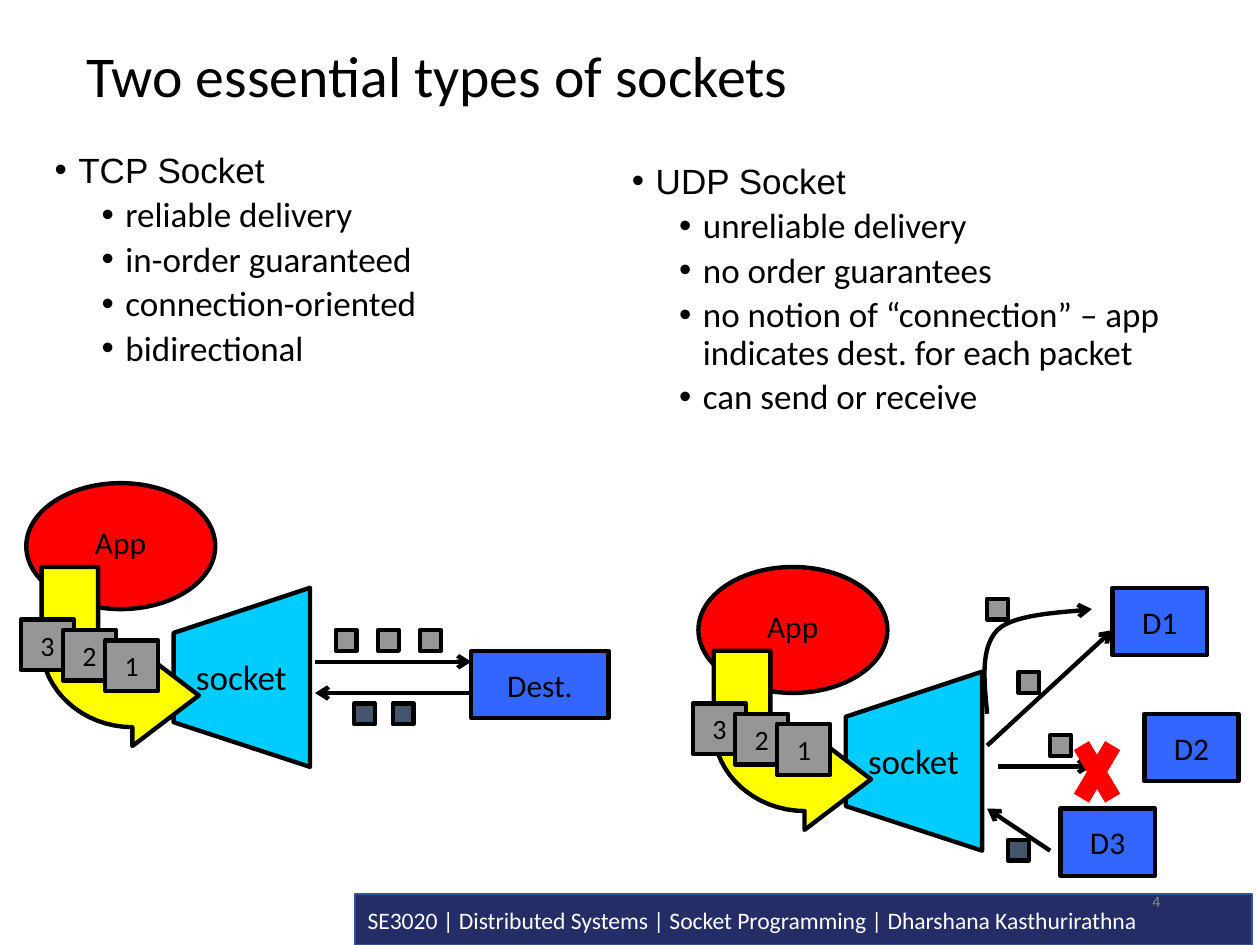
import pptx
import pptx.dml.color
import pptx.enum.shapes
import pptx.enum.text
import pptx.oxml
import pptx.oxml.ns
import pptx.util

Cm = pptx.util.Cm
RGBColor = pptx.dml.color.RGBColor
MSO_SHAPE = pptx.enum.shapes.MSO_SHAPE
PP_ALIGN = pptx.enum.text.PP_ALIGN
MSO_ANCHOR = pptx.enum.text.MSO_ANCHOR
qn = pptx.oxml.ns.qn

BLACK = RGBColor(0x00, 0x00, 0x00)
WHITE = RGBColor(0xFF, 0xFF, 0xFF)
RED = RGBColor(0xFF, 0x00, 0x00)
YELLOW = RGBColor(0xFF, 0xFF, 0x00)
CYAN = RGBColor(0x00, 0xCC, 0xFF)
BLUE = RGBColor(0x33, 0x66, 0xFF)
GREY = RGBColor(0x96, 0x96, 0x96)
SLATE = RGBColor(0x44, 0x54, 0x6A)
NAVY = RGBColor(0x25, 0x2D, 0x67)
NAVY_EDGE = RGBColor(0x32, 0x54, 0x91)
PALE_GREY = RGBColor(0x8C, 0x8C, 0x8C)


def write(frame, text, size=18, font="Calibri", colour=BLACK, align=PP_ALIGN.CENTER,
          anchor=MSO_ANCHOR.MIDDLE, spacing=None, before=0, indent=None):
    frame.word_wrap = True
    frame.vertical_anchor = anchor
    paragraph = frame.add_paragraph() if frame.text else frame.paragraphs[0]
    paragraph.text = text
    paragraph.alignment = align
    paragraph.line_spacing = spacing
    paragraph.space_before = pptx.util.Pt(before)
    if indent:
        properties = paragraph._p.get_or_add_pPr()
        properties.set("marL", str(Cm(indent)))
        properties.set("indent", str(Cm(-0.48)))
        pptx.oxml.ns.qn("a:buFont")
        bullet_font = properties.makeelement(qn("a:buFont"), {"typeface": "Arial"})
        bullet = properties.makeelement(qn("a:buChar"), {"char": "•"})
        properties.extend([bullet_font, bullet])
    run_font = paragraph.runs[0].font
    run_font.size = pptx.util.Pt(size)
    run_font.name = font
    run_font.color.rgb = colour


def add_box(shapes, kind, left, top, width, height, fill, line=BLACK, weight=2.5):
    shape = shapes.add_shape(kind, Cm(left), Cm(top), Cm(width), Cm(height))
    shape.shadow.inherit = False
    shape.fill.solid()
    shape.fill.fore_color.rgb = fill
    shape.line.color.rgb = line
    shape.line.width = pptx.util.Pt(weight)
    return shape


presentation = pptx.Presentation()
presentation.slide_width = Cm(25.4)
presentation.slide_height = Cm(19.05)
slide = presentation.slides.add_slide(presentation.slide_layouts[5])

footer = add_box(slide.shapes, MSO_SHAPE.RECTANGLE, 7.16, 18.03, 18.08, 1.02,
                 NAVY, line=NAVY_EDGE, weight=1)
write(footer.text_frame,
      "SE3020 | Distributed Systems | Socket Programming | Dharshana Kasthurirathna",
      size=13.5, colour=WHITE, align=PP_ALIGN.LEFT)

title = slide.shapes.title
title.left, title.top, title.width, title.height = Cm(1.48), Cm(0), Cm(21.59), Cm(3.17)
write(title.text_frame, "Two essential types of sockets", size=33,
      align=PP_ALIGN.LEFT, spacing=0.9)

columns = [
    (0.85, 2.96, 10.58, "TCP Socket",
     ["reliable delivery", "in-order guaranteed", "connection-oriented", "bidirectional"]),
    (12.49, 3.18, 12.07, "UDP Socket",
     ["unreliable delivery", "no order guarantees",
      "no notion of “connection” – app indicates dest. for each packet",
      "can send or receive"]),
]
for left, top, width, heading, points in columns:
    column = slide.shapes.add_textbox(Cm(left), Cm(top), Cm(width), Cm(12.9))
    layout = dict(size=20, align=PP_ALIGN.LEFT, anchor=MSO_ANCHOR.TOP, spacing=0.9)
    write(column.text_frame, heading, font="Arial", indent=0.48, **layout)
    for point in points:
        write(column.text_frame, point, before=3.8, indent=1.43, **layout)

number = slide.shapes.add_textbox(Cm(17.93), Cm(17.65), Cm(5.71), Cm(1.02))
write(number.text_frame, "4", size=9, colour=PALE_GREY, align=PP_ALIGN.RIGHT)

tcp = slide.shapes.add_group_shape().shapes
udp = slide.shapes.add_group_shape().shapes
diagrams = [(tcp, 0, 0), (udp, 13.55, 1.69)]

for shapes, across, down in diagrams:
    add_box(shapes, MSO_SHAPE.OVAL, 0.53 + across, 9.74 + down, 3.81, 2.54, RED)

socket_outline = [(6.25, 11.85), (3.5, 12.76), (3.5, 14.56), (6.25, 15.46)]
arrow_outline = [(4.01, 14.02), (2.67, 15.04), (2.67, 14.66),
                 (1.68, 14.66, 0.84, 13.92, 0.84, 13), (0.84, 11.43), (1.98, 11.43),
                 (1.98, 13), (1.98, 13.21, 2.29, 13.39, 2.67, 13.39), (2.67, 13)]
route = [(19.9, 14.39), (19.84, 13.72, 19.76, 13.06, 20.11, 12.7),
         (20.47, 12.34, 21.69, 12.34, 22.01, 12.28)]
outlines = [(shapes, outline, fill, across, down)
            for shapes, across, down in diagrams
            for outline, fill in [(socket_outline, CYAN), (arrow_outline, YELLOW)]]
outlines.append((udp, route, None, 0, 0))

lines = []
for shapes, outline, fill, across, down in outlines:
    vertices = [outline[0]]
    for step in outline[1:]:
        if len(step) == 2:
            vertices.append(step)
            continue
        controls = [vertices[-1], step[0:2], step[2:4], step[4:6]]
        for part in range(1, 17):
            t = part / 16
            weights = [(1 - t) ** 3, 3 * t * (1 - t) ** 2, 3 * t ** 2 * (1 - t), t ** 3]
            vertices.append(tuple(sum(w * control[axis] for w, control in zip(weights, controls))
                                  for axis in (0, 1)))
    vertices = [(Cm(x + across), Cm(y + down)) for x, y in vertices]
    builder = shapes.build_freeform(*vertices[0])
    builder.add_line_segments(vertices[1:], close=fill is not None)
    shape = builder.convert_to_shape()
    shape.shadow.inherit = False
    if fill is None:
        shape.fill.background()
    else:
        shape.fill.solid()
        shape.fill.fore_color.rgb = fill
    lines.append((shape, BLACK, 2.5, fill is None))

for shapes, across, down in diagrams:
    for text, left, top, width, height, size in [("App", 0.42, 10.3, 4.02, 1.27, 18),
                                                 ("socket", 2.54, 13.1, 4.65, 1.08, 20)]:
        label = shapes.add_textbox(Cm(left + across), Cm(top + down), Cm(width), Cm(height))
        write(label.text_frame, text, size=size)
    for index, text in enumerate("321"):
        packet = add_box(shapes, MSO_SHAPE.RECTANGLE, 0.42 + 0.85 * index + across,
                         12.49 + 0.21 * index + down, 1.07, 1.02, GREY)
        write(packet.text_frame, text, size=16)

small_packets = [
    (tcp, GREY, [(6.77, 12.7), (7.62, 12.7), (8.47, 12.7)]),
    (tcp, SLATE, [(7.14, 14.18), (7.92, 14.18)]),
    (udp, GREY, [(19.9, 12.07), (20.53, 13.55), (21.17, 14.82)]),
    (udp, SLATE, [(20.32, 16.93)]),
]
for shapes, fill, places in small_packets:
    for left, top in places:
        add_box(shapes, MSO_SHAPE.RECTANGLE, left, top, 0.42, 0.42, fill)

destinations = [(tcp, "Dest.", 9.5, 13.12, 2.77), (udp, "D1", 22.43, 11.85, 1.9),
                (udp, "D2", 23.07, 14.39, 1.9), (udp, "D3", 21.38, 16.3, 1.9)]
for shapes, text, left, top, width in destinations:
    destination = add_box(shapes, MSO_SHAPE.RECTANGLE, left, top, width, 1.36, BLUE)
    write(destination.text_frame, text)

straight_lines = [
    (tcp, (6.35, 13.34, 9.5, 13.34), BLACK, 2.5),
    (tcp, (9.5, 13.97, 6.35, 13.97), BLACK, 2.5),
    (udp, (19.9, 15.03, 22.43, 12.7), BLACK, 2.5),
    (udp, (20.11, 15.45, 22.01, 15.45), BLACK, 2.5),
    (udp, (21.17, 17.15, 19.9, 16.3), BLACK, 2.5),
    (udp, (21.8, 15.03, 22.43, 16.09), RED, 10),
    (udp, (22.43, 15.03, 21.8, 16.09), RED, 10),
]
for shapes, ends, colour, weight in straight_lines:
    connector = shapes.add_connector(pptx.enum.shapes.MSO_CONNECTOR.STRAIGHT,
                                     *[Cm(end) for end in ends])
    lines.append((connector, colour, weight, colour == BLACK))

for shape, colour, weight, has_head in lines:
    shape.line.color.rgb = colour
    shape.line.width = pptx.util.Pt(weight)
    properties = shape._element.spPr
    if has_head:
        outline = shape.line._get_or_add_ln()
        outline.append(outline.makeelement(qn("a:tailEnd"), {"type": "arrow"}))
    if properties.find(qn("a:effectLst")) is None:
        properties.append(properties.makeelement(qn("a:effectLst"), {}))

presentation.save("out.pptx")
